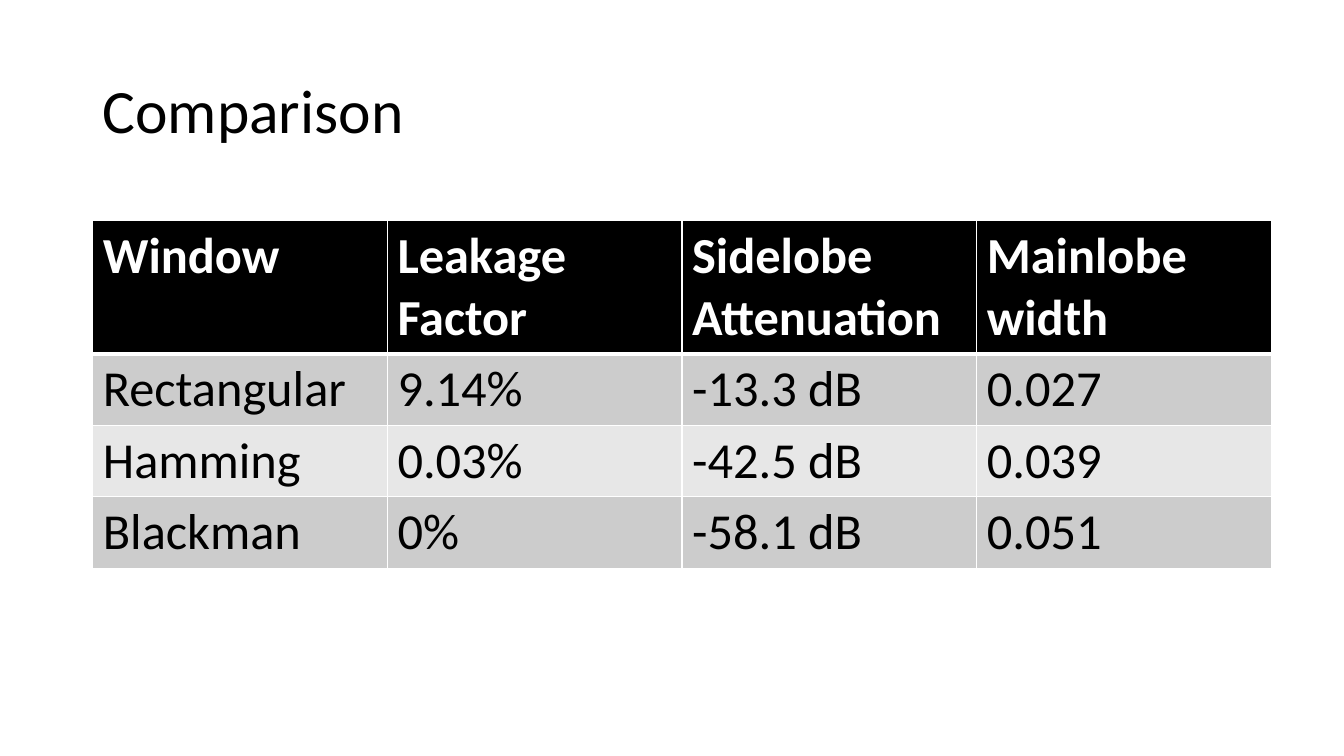
from dataclasses import dataclass

from lxml import etree
from pptx import Presentation
from pptx.dml.color import RGBColor
from pptx.enum.text import MSO_ANCHOR
from pptx.oxml.ns import qn
from pptx.util import Inches, Pt

MIDDLE = MSO_ANCHOR.MIDDLE


@dataclass(frozen=True)
class Theme:
    font: str = "Calibri"
    title_size: int = 44
    cell_size: int = 36
    black: str = "000000"
    white: str = "FFFFFF"
    bands: tuple = ("CCCCCC", "E7E7E7")


theme = Theme()

ROWS = [
    ("Window", "Leakage Factor", "Sidelobe Attenuation", "Mainlobe width"),
    ("Rectangular", "9.14%", "-13.3 dB", "0.027"),
    ("Hamming", "0.03%", "-42.5 dB", "0.039"),
    ("Blackman", "0%", "-58.1 dB", "0.051"),
]
HEADER_HEIGHT, ROW_HEIGHT = 1.32, 0.71


def style_run(r, size, color, bold=False):
    r.font.name = theme.font
    r.font.size = Pt(size)
    r.font.bold = bold
    r.font.color.rgb = RGBColor.from_string(color)


def add_borders(cell, widths):
    """Draw white cell borders; widths maps a side (L, R, T, B) to points."""
    tcPr = cell._tc.get_or_add_tcPr()
    for side, width in widths.items():
        ln = etree.SubElement(tcPr, qn(f"a:ln{side}"), w=str(Pt(width)))
        fill = etree.SubElement(ln, qn("a:solidFill"))
        etree.SubElement(fill, qn("a:srgbClr"), val=theme.white)


prs = Presentation()
prs.slide_width, prs.slide_height = Inches(13.33), Inches(7.5)
s = prs.slides.add_slide(prs.slide_layouts[6])

# Title
title = s.shapes.add_textbox(Inches(0.92), Inches(0.4), Inches(11.5), Inches(1.45))
tf = title.text_frame
tf.word_wrap = True
tf.vertical_anchor = MIDDLE
tf.text = "Comparison"
p = tf.paragraphs[0]
p.line_spacing = 0.9
style_run(p.runs[0], theme.title_size, theme.black)

# Window comparison table
table_height = HEADER_HEIGHT + ROW_HEIGHT * (len(ROWS) - 1)
table = s.shapes.add_table(len(ROWS), len(ROWS[0]), Inches(0.92), Inches(2.19),
                           Inches(11.69), Inches(table_height)).table
for i, values in enumerate(ROWS):
    header = i == 0
    table.rows[i].height = Inches(HEADER_HEIGHT if header else ROW_HEIGHT)
    fill_color = theme.black if header else theme.bands[(i - 1) % 2]
    text_color = theme.white if header else theme.black
    borders = {"L": 1, "R": 1, "T": 3 if i == 1 else 1, "B": 3 if header else 1}
    for j, value in enumerate(values):
        cell = table.cell(i, j)
        cell.text = value
        style_run(cell.text_frame.paragraphs[0].runs[0], theme.cell_size, text_color, header)
        add_borders(cell, borders)
        cell.fill.solid()
        cell.fill.fore_color.rgb = RGBColor.from_string(fill_color)

prs.save("out.pptx")
